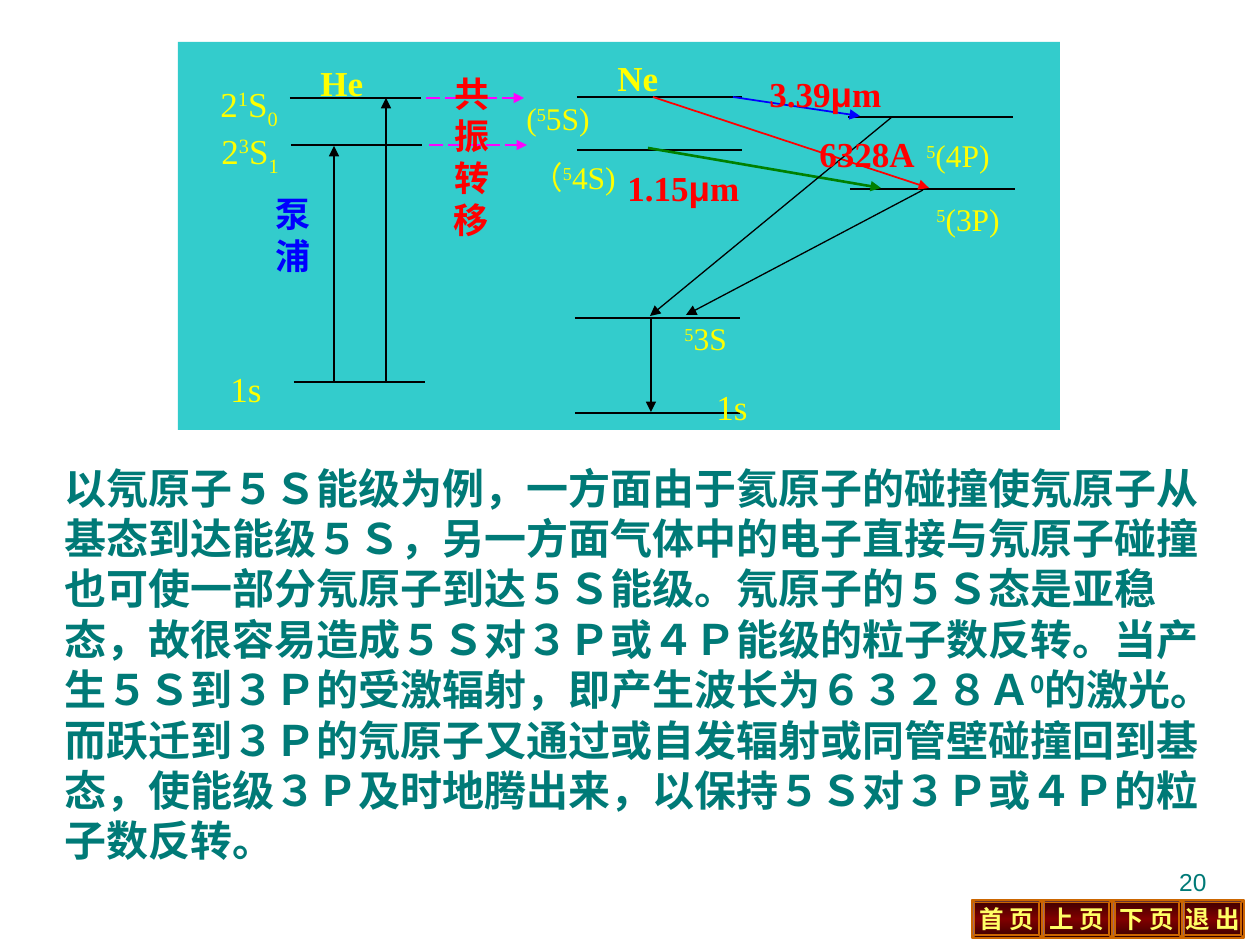
from copy import deepcopy

from lxml import etree
from pptx import Presentation
from pptx.dml.color import RGBColor
from pptx.enum.dml import MSO_LINE
from pptx.enum.shapes import MSO_CONNECTOR, MSO_SHAPE
from pptx.enum.text import MSO_ANCHOR, PP_ALIGN
from pptx.oxml.ns import qn
from pptx.util import Emu, Pt

LEFT, CENTER, RIGHT, JUSTIFY = PP_ALIGN.LEFT, PP_ALIGN.CENTER, PP_ALIGN.RIGHT, PP_ALIGN.JUSTIFY
MIDDLE = MSO_ANCHOR.MIDDLE
STRAIGHT = MSO_CONNECTOR.STRAIGHT
LONG_DASH = MSO_LINE.LONG_DASH
RECTANGLE, BEVEL = MSO_SHAPE.RECTANGLE, MSO_SHAPE.BEVEL

THEME = {
    "panel": "33CCCC", "yellow": "FFFF00", "red": "FF0000", "blue": "0000FF",
    "green": "008000", "magenta": "FF00FF", "black": "000000", "teal": "007A77",
    "button_text": "FFFF66", "button_edge": "CC6600",
    "button_dark": "3B0000", "button_mid": "800000",
    "serif": "Times New Roman", "sans": "Arial", "cjk": "Noto Sans CJK SC",
    "small": 14, "level": 18, "label": 20, "body": 24, "leading": 1.2,
}

# Content: lengths are px, 126 to the inch
PX = 914400 / 126
UP, DOWN, SANS = {"baseline": 30}, {"baseline": -25}, {"font": "sans"}

PANEL = (178, 42, 882, 388)

# Energy levels: left, y
HELIUM_WIDTH, NEON_WIDTH = 131, 165
HELIUM_LEVELS = [(290, 98), (291, 145), (294, 382)]
NEON_LEVELS = [(577, 97), (577, 150), (575, 318), (575, 413), (848, 117), (850, 189)]

# Transitions: start x, start y, end x, end y, colour, width in points, dash
TRANSITIONS = [
    (426, 98, 524, 98, "magenta", 1, LONG_DASH),
    (429, 145, 527, 145, "magenta", 1, LONG_DASH),
    (648, 148, 881, 188, "green", 1.5, None),
    (653, 97, 929, 188, "red", 1, None),
    (733, 97, 860, 116, "blue", 1, None),
    (892, 117, 650, 316, "black", 0.75, None),
    (923, 190, 686, 315, "black", 0.75, None),
    (651, 318, 651, 412, "black", 0.75, None),
    (334, 382, 334, 146, "black", 0.75, None),
    (386, 382, 386, 98, "black", 0.75, None),
]

# Labels: place, spans, format
LEVEL = {"size": "level"}
BOLD = {"bold": True}
LASER = {"bold": True, "color": "red"}
LABELS = [
    ((308, 55, 89, 52), ["He"], BOLD),
    ((208, 76, 89, 43), ["2", ("1", UP), "S", ("0", DOWN)], {}),
    ((209, 123, 89, 43), ["2", ("3", UP), "S", ("1", DOWN)], {}),
    ((218, 361, 89, 43), ["1s"], {}),
    ((263, 186, 55, 58), ["泵浦"], {"bold": True, "color": "blue", "fixed": True}),
    ((438, 66, 67, 115), ["共振转移"], {**LASER, "align": CENTER, "fixed": True}),
    ((605, 50, 112, 58), ["Ne"], BOLD),
    ((514, 93, 140, 43), ["(", ("5", UP), "5S)"], LEVEL),
    ((519, 152, 142, 43), ["（", ("5", UP), "4S)"], {**LEVEL, "fixed": True}),
    ((914, 130, 139, 48), [("5", UP), "(4P)"], LEVEL),
    ((924, 194, 147, 48), [("5", UP), "(3P)"], LEVEL),
    ((672, 313, 105, 43), [("5", UP), "3S"], LEVEL),
    ((704, 379, 79, 43), ["1s"], {}),
    ((757, 66, 199, 50), ["3.39", ("μ", SANS), "m"], LASER),
    ((807, 126, 188, 50), ["6328A"], LASER),
    ((615, 160, 199, 52), ["1.15", ("μ", SANS), "m"], LASER),
]

BODY = [
    "以氖原子５Ｓ能级为例，一方面由于氦原子的碰撞使氖原子从基态到达能级５Ｓ，"
    "另一方面气体中的电子直接与氖原子碰撞也可使一部分氖原子到达５Ｓ能级。"
    "氖原子的５Ｓ态是亚稳态，故很容易造成５Ｓ对３Ｐ或４Ｐ能级的粒子数反转。"
    "当产生５Ｓ到３Ｐ的受激辐射，即产生波长为６３２８Ａ",
    ("0", UP),
    "的激光。而跃迁到３Ｐ的氖原子又通过或自发辐射或同管壁碰撞回到基态，"
    "使能级３Ｐ及时地腾出来，以保持５Ｓ对３Ｐ或４Ｐ的粒子数反转。",
]

BUTTONS = [("首 页", 70), ("上 页", 70), ("下 页", 70), ("退 出", 62)]
BUTTON_LEFT, BUTTON_TOP, BUTTON_HEIGHT = 972, 900, 38


def px(*lengths):
    return [Emu(round(length * PX)) for length in lengths]


def rgb(name):
    return RGBColor.from_string(THEME[name])


def write(shape, spans, size="label", color="yellow", font="serif", bold=False,
          align=JUSTIFY, fixed=False, wrap=True):
    """Fill a shape with one paragraph; a span is text or (text, overrides)."""
    frame = shape.text_frame
    frame.word_wrap = wrap
    para = frame.paragraphs[0]
    para.alignment = align
    # Keep punctuation inside the right edge
    para._p.get_or_add_pPr().set("hangingPunct", "0")
    if fixed:
        para.line_spacing = Pt(THEME[size] * THEME["leading"])
    for item in spans:
        text, extra = (item, {}) if isinstance(item, str) else item
        span = para.add_run()
        span.text = text
        span.font.size = Pt(THEME[size])
        span.font.bold = bold
        span.font.color.rgb = rgb(color)
        span.font.name = THEME[extra.get("font", font)]
        properties = span.font._element
        east_asian = etree.Element(qn("a:ea"), typeface=THEME["cjk"])
        properties.find(qn("a:latin")).addnext(east_asian)
        if "baseline" in extra:
            properties.set("baseline", str(extra["baseline"] * 1000))


def add_text(page, place, spans, **style):
    write(page.shapes.add_textbox(*px(*place)), spans, **style)


def add_line(page, start_x, start_y, end_x, end_y, color="black", width=1, dash=None, arrow=False):
    connector = page.shapes.add_connector(STRAIGHT, *px(start_x, start_y, end_x, end_y))
    connector.line.color.rgb = rgb(color)
    connector.line.width = Pt(width)
    if dash:
        connector.line.dash_style = dash
    if arrow:
        etree.SubElement(connector.line._get_or_add_ln(), qn("a:tailEnd"), type="triangle")
    etree.SubElement(connector._element.spPr, qn("a:effectLst"))


def add_button(page, left, width, label):
    button = page.shapes.add_shape(BEVEL, *px(left, BUTTON_TOP, width, BUTTON_HEIGHT))
    button.adjustments[0] = 0.07
    button.shadow.inherit = False
    button.line.color.rgb = rgb("button_edge")
    button.line.width = Pt(1)
    # Dark, mid, dark vertical gradient
    fill = button.fill
    fill.gradient()
    fill.gradient_angle = 90
    first = fill._fill._gradFill.find(qn("a:gsLst"))[0]
    first.addnext(deepcopy(first))
    for stop, (position, color) in zip(
            fill.gradient_stops, [(0, "button_dark"), (0.5, "button_mid"), (1, "button_dark")]):
        stop.position = position
        stop.color.rgb = rgb(color)
    button.text_frame.vertical_anchor = MIDDLE
    write(button, [label], size="small", color="button_text", font="cjk",
          bold=True, align=CENTER, wrap=False)


def main():
    deck = Presentation()
    deck.slide_width, deck.slide_height = px(1260, 945)
    page = deck.slides.add_slide(deck.slide_layouts[6])

    # Navigation buttons and page number
    left = BUTTON_LEFT
    for label, width in BUTTONS:
        add_button(page, left, width, label)
        left += width
    add_text(page, (904, 861, 315, 66), ["20"], size="small", color="teal",
             font="sans", align=RIGHT)

    # Energy level diagram
    panel = page.shapes.add_shape(RECTANGLE, *px(*PANEL))
    panel.shadow.inherit = False
    panel.fill.solid()
    panel.fill.fore_color.rgb = rgb("panel")
    panel.line.fill.background()
    for levels, width in [(HELIUM_LEVELS, HELIUM_WIDTH), (NEON_LEVELS, NEON_WIDTH)]:
        for x, y in levels:
            add_line(page, x, y, x + width, y)
    for *ends, color, width, dash in TRANSITIONS:
        add_line(page, *ends, color=color, width=width, dash=dash, arrow=True)
    for place, spans, style in LABELS:
        add_text(page, place, spans, **style)

    # Explanation
    add_text(page, (52, 456, 1187, 416), BODY, size="body", color="teal", font="cjk",
             bold=True, align=LEFT, fixed=True)
    deck.save("out.pptx")


if __name__ == "__main__":
    main()
